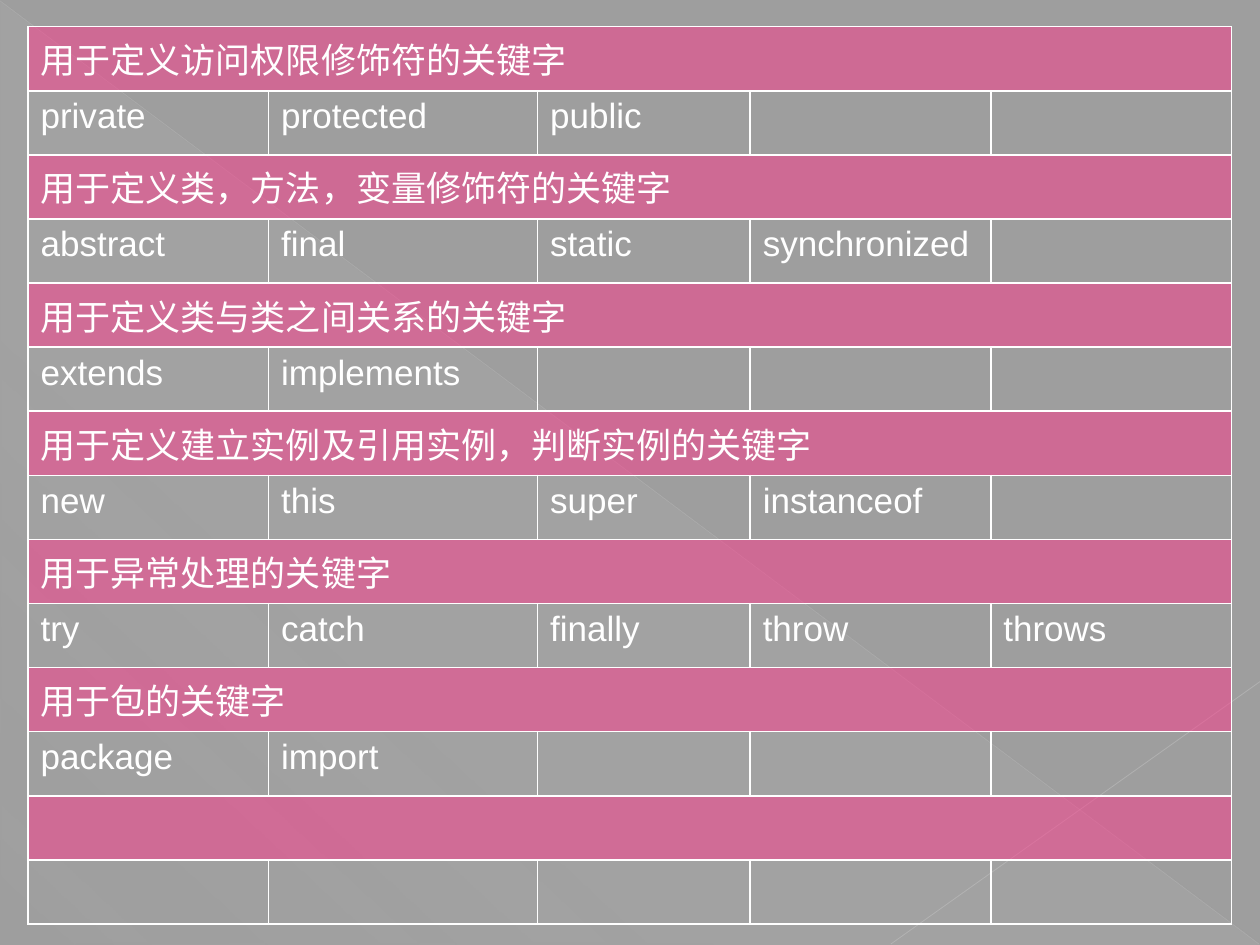
from pptx import Presentation
from pptx.dml.color import RGBColor
from pptx.enum.shapes import MSO_CONNECTOR as LINE, MSO_SHAPE as SHAPE
from pptx.oxml import parse_xml
from pptx.oxml.ns import nsdecls, qn
from pptx.util import Pt
from lxml.etree import SubElement

COLORS = {
    "background": "9E9E9E",
    "triangle": "D2D2D2",
    "diagonal": "BFBFBF",
    "corner": "C6C6C6",
    "heading": "FF388C",
    "white": "FFFFFF",
}

KEYWORD_GROUPS = [
    ("用于定义访问权限修饰符的关键字", ["private", "protected", "public"]),
    ("用于定义类，方法，变量修饰符的关键字", ["abstract", "final", "static", "synchronized"]),
    ("用于定义类与类之间关系的关键字", ["extends", "implements"]),
    ("用于定义建立实例及引用实例，判断实例的关键字", ["new", "this", "super", "instanceof"]),
    ("用于异常处理的关键字", ["try", "catch", "finally", "throw", "throws"]),
    ("用于包的关键字", ["package", "import"]),
    ("", []),
]
COLUMN_WIDTHS = [137.5, 153.75, 121.5, 137.5, 137.5]
ROW_HEIGHT = 36.65


def set_alpha(element, percent):
    color = next(element.iter(qn("a:srgbClr")))
    SubElement(color, qn("a:alpha"), val=str(percent * 1000))


class KeywordSlide:
    font = "Arial"
    size = 20
    border_width = 1

    def __init__(self, deck):
        self.slide = deck.slides.add_slide(deck.slide_layouts[6])
        self.paint(self.slide.background.fill, "background")

    def paint(self, fill, color):
        fill.solid()
        fill.fore_color.rgb = RGBColor.from_string(COLORS[color])

    def triangle(self, left, top, width, height, color, stops, angle):
        triangle = self.slide.shapes.add_shape(
            SHAPE.RIGHT_TRIANGLE, Pt(left), Pt(top), Pt(width), Pt(height))
        triangle.shadow.inherit = False
        triangle.line.fill.background()
        stop_list = "".join(
            f'<a:gs pos="{position * 1000}"><a:srgbClr val="{COLORS[color]}">'
            f'<a:alpha val="{alpha * 1000}"/></a:srgbClr></a:gs>'
            for position, alpha in stops)
        gradient = parse_xml(
            f'<a:gradFill {nsdecls("a")} rotWithShape="1"><a:gsLst>{stop_list}</a:gsLst>'
            f'<a:lin ang="{angle * 60000}" scaled="0"/></a:gradFill>')
        triangle._element.spPr.find(qn("a:prstGeom")).addnext(gradient)

    def line(self, x1, y1, x2, y2, color, width, alpha):
        line = self.slide.shapes.add_connector(
            LINE.STRAIGHT, Pt(x1), Pt(y1), Pt(x2), Pt(y2))
        line.line.width = Pt(width)
        self.paint(line.line.fill, color)
        properties = line._element.spPr
        set_alpha(properties, alpha)
        SubElement(properties, qn("a:effectLst"))

    def cell(self, cell, text, heading):
        properties = cell._tc.get_or_add_tcPr()
        for side in ("lnL", "lnR", "lnT", "lnB"):
            properties.append(parse_xml(
                f'<a:{side} {nsdecls("a")} w="{Pt(self.border_width)}"><a:solidFill>'
                f'<a:srgbClr val="{COLORS["white"]}"/></a:solidFill></a:{side}>'))
        if heading:
            self.paint(cell.fill, "heading")
            set_alpha(properties.find(qn("a:solidFill")), 50)
        else:
            cell.fill.background()
        if text:
            run = cell.text_frame.paragraphs[0].add_run()
            run.text = text
            run.font.name = self.font
            run.font.size = Pt(self.size)
            run.font.color.rgb = RGBColor.from_string(COLORS["white"])

    def keyword_table(self, left, top, groups, widths, row_height):
        row_count = len(groups) * 2
        table = self.slide.shapes.add_table(
            row_count, len(widths), Pt(left), Pt(top),
            Pt(sum(widths)), Pt(row_height * row_count)).table
        table.first_row = table.horz_banding = False
        for column, width in zip(table.columns, widths):
            column.width = Pt(width)
        for row in table.rows:
            row.height = Pt(row_height)
        last = len(widths) - 1
        for index, (heading, keywords) in enumerate(groups):
            heading_row = index * 2
            for row, texts in ((heading_row, [heading]), (heading_row + 1, keywords)):
                for column in range(len(widths)):
                    text = texts[column] if column < len(texts) else ""
                    self.cell(table.cell(row, column), text, row == heading_row)
            table.cell(heading_row, 0).merge(table.cell(heading_row, last))


def main():
    deck = Presentation()
    deck.slide_width, deck.slide_height = Pt(720), Pt(540)
    page = KeywordSlide(deck)
    page.triangle(0.5, 1, 719.5, 539, "triangle", [(0, 10), (70, 8), (100, 1)], 133)
    page.line(0, 0.5, 719.5, 539.5, "diagonal", 0.39, 35)
    page.line(720, 389.5, 509, 539.5, "corner", 0.47, 45)
    page.keyword_table(16, 15.25, KEYWORD_GROUPS, COLUMN_WIDTHS, ROW_HEIGHT)
    deck.save("out.pptx")


if __name__ == "__main__":
    main()
